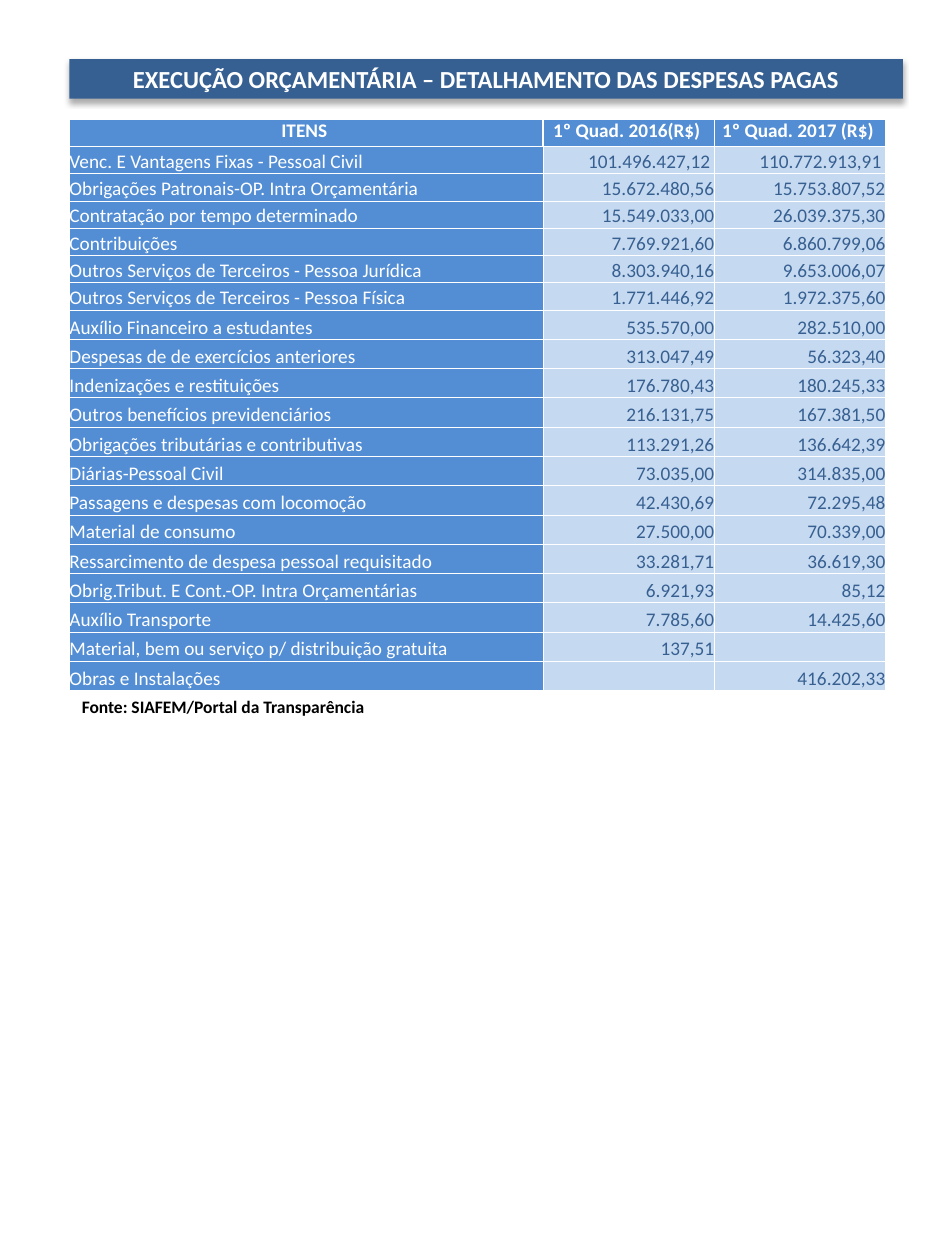
from dataclasses import dataclass

from lxml import etree
from pptx import Presentation
from pptx import util as u
from pptx.dml.color import RGBColor
from pptx.enum import text
from pptx.oxml import parse_xml
from pptx.oxml.ns import nsdecls, qn


@dataclass(frozen=True)
class Theme:
    font: str = "Calibri"
    banner: str = "376092"
    label_fill: str = "538ED5"
    value_fill: str = "C5D9F1"
    value_text: str = "376091"
    white: str = "FFFFFF"
    black: str = "000000"
    title_size: int = 14
    table_size: int = 11
    source_size: int = 10


theme = Theme()

HEADER = ("ITENS", "1º Quad. 2016(R$)", "1º Quad. 2017 (R$)")
EXPENSES = [
    ("Venc. E Vantagens Fixas - Pessoal Civil", "101.496.427,12", "110.772.913,91"),
    ("Obrigações Patronais-OP. Intra Orçamentária", "15.672.480,56", "15.753.807,52"),
    ("Contratação por tempo determinado", "15.549.033,00", "26.039.375,30"),
    ("Contribuições", "7.769.921,60", "6.860.799,06"),
    ("Outros Serviços de Terceiros - Pessoa Jurídica", "8.303.940,16", "9.653.006,07"),
    ("Outros Serviços de Terceiros - Pessoa Física", "1.771.446,92", "1.972.375,60"),
    ("Auxílio Financeiro a estudantes", "535.570,00", "282.510,00"),
    ("Despesas de de exercícios anteriores", "313.047,49", "56.323,40"),
    ("Indenizações e restituições", "176.780,43", "180.245,33"),
    ("Outros benefícios previdenciários", "216.131,75", "167.381,50"),
    ("Obrigações tributárias e contributivas", "113.291,26", "136.642,39"),
    ("Diárias-Pessoal Civil", "73.035,00", "314.835,00"),
    ("Passagens e despesas com locomoção", "42.430,69", "72.295,48"),
    ("Material de consumo", "27.500,00", "70.339,00"),
    ("Ressarcimento de despesa pessoal requisitado", "33.281,71", "36.619,30"),
    ("Obrig.Tribut. E Cont.-OP. Intra Orçamentárias", "6.921,93", "85,12"),
    ("Auxílio Transporte", "7.785,60", "14.425,60"),
    ("Material, bem ou serviço p/ distribuição gratuita", "137,51", ""),
    ("Obras e Instalações", "", "416.202,33"),
]


def style(p, size, color, bold, align):
    p.alignment = align
    p.font.name = theme.font
    p.font.size = u.Pt(size)
    p.font.bold = bold
    p.font.color.rgb = RGBColor.from_string(color)


def add_borders(cell, header):
    """Draw white cell borders, heavier around the header except below it."""
    tcPr = cell._tc.get_or_add_tcPr()
    for side in "LRTB":
        width = u.Pt(1 if header and side != "B" else 0.5)
        ln = etree.SubElement(tcPr, qn(f"a:ln{side}"), w=str(width))
        fill = etree.SubElement(ln, qn("a:solidFill"))
        etree.SubElement(fill, qn("a:srgbClr"), val=theme.white)


prs = Presentation()
prs.slide_width, prs.slide_height = u.Cm(19.05), u.Cm(25.4)
s = prs.slides.add_slide(prs.slide_layouts[5])
left = u.Cm(1.4)

# Title banner
title = s.shapes.title
title.left, title.top, title.width, title.height = left, u.Cm(1.19), u.Cm(16.8), u.Cm(0.8)
title.fill.solid()
title.fill.fore_color.rgb = RGBColor.from_string(theme.banner)
title._element.spPr.append(parse_xml(
    f'<a:effectLst {nsdecls("a")}>'
    f'<a:outerShdw blurRad="{u.Pt(3.5)}" dist="{u.Pt(2.2)}" dir="5400000" rotWithShape="0">'
    f'<a:srgbClr val="{theme.black}"><a:alpha val="32000"/></a:srgbClr>'
    '</a:outerShdw></a:effectLst>'))
tf = title.text_frame
tf.text = "EXECUÇÃO ORÇAMENTÁRIA – DETALHAMENTO DAS DESPESAS PAGAS"
tf.auto_size = text.MSO_AUTO_SIZE.NONE
tf.vertical_anchor = text.MSO_ANCHOR.MIDDLE
style(tf.paragraphs[0], theme.title_size, theme.white, True, text.PP_ALIGN.CENTER)

# Expense table
rows = [HEADER, *EXPENSES]
heights = [u.Cm(0.55 if i < 7 else 0.59) for i in range(len(rows))]
widths = [u.Cm(9.55), u.Cm(3.45), u.Cm(3.45)]
table = s.shapes.add_table(len(rows), len(widths), left, u.Cm(2.4),
                           sum(widths), sum(heights)).table
for column, width in zip(table.columns, widths):
    column.width = width
for i, values in enumerate(rows):
    table.rows[i].height = heights[i]
    header = i == 0
    for j, value in enumerate(values):
        cell = table.cell(i, j)
        label = header or j == 0
        add_borders(cell, header)
        cell.fill.solid()
        cell.fill.fore_color.rgb = RGBColor.from_string(
            theme.label_fill if label else theme.value_fill)
        cell.margin_left = cell.margin_top = cell.margin_bottom = 0
        cell.margin_right = u.Cm(0.08 if i < 2 else 0)
        cell.vertical_anchor = text.MSO_ANCHOR.TOP if header else text.MSO_ANCHOR.BOTTOM
        p = cell.text_frame.paragraphs[0]
        if value:
            p.text = value
        else:
            p._p.get_or_add_endParaRPr().set("sz", str(theme.table_size * 100))
        if header:
            align = text.PP_ALIGN.CENTER
        else:
            align = text.PP_ALIGN.LEFT if label else text.PP_ALIGN.RIGHT
        style(p, theme.table_size, theme.white if label else theme.value_text, header, align)

# Source line
source = s.shapes.add_textbox(left, u.Cm(13.9), u.Cm(6.45), u.Cm(0.68))
tf = source.text_frame
tf.word_wrap = False
tf.auto_size = text.MSO_AUTO_SIZE.SHAPE_TO_FIT_TEXT
tf.text = "Fonte: SIAFEM/Portal da Transparência"
style(tf.paragraphs[0], theme.source_size, theme.black, True, text.PP_ALIGN.LEFT)

prs.save("out.pptx")
